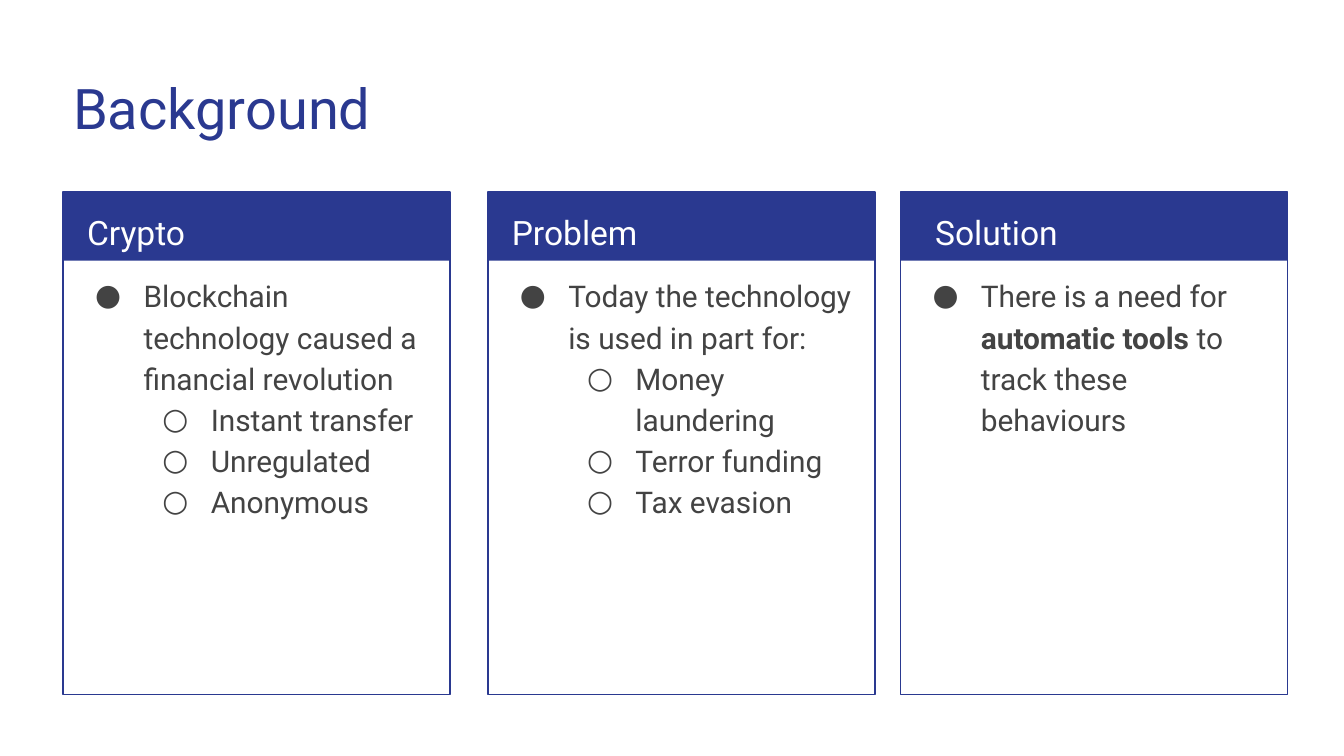
from lxml import etree
from pptx import Presentation
from pptx.dml.color import RGBColor
from pptx.enum import shapes, text
from pptx.oxml import ns
from pptx.util import Inches, Pt

NAVY, GREY, WHITE = "2A3990", "434343", "FFFFFF"
CARD_TOP, CARD_WIDTH, CARD_HEIGHT = 1.43, 2.88, 3.74
HEADER_HEIGHT = 0.51

# Card left, heading left, heading, bullets as (level, [(words, bold), ...])
CARDS = [
    (0.47, 0.55, "Crypto", [
        (0, [("Blockchain technology caused a financial revolution", False)]),
        (1, [("Instant transfer", False)]),
        (1, [("Unregulated", False)]),
        (1, [("Anonymous", False)]),
    ]),
    (3.63, 3.71, "Problem", [
        (0, [("Today the technology is used in part for:", False)]),
        (1, [("Money laundering", False)]),
        (1, [("Terror funding", False)]),
        (1, [("Tax evasion", False)]),
    ]),
    (6.7, 6.86, "Solution", [
        (0, [("There is a need for ", False), ("automatic tools", True),
             (" to track these behaviours", False)]),
    ]),
]


def style(para, size, color):
    para.alignment = text.PP_ALIGN.LEFT
    para.font.name = "Roboto"
    para.font.size = Pt(size)
    para.font.color.rgb = RGBColor.from_string(color)


def prepare_frame(box):
    """Give the box's text frame even margins, wrapping and a top anchor."""
    frame = box.text_frame
    frame.margin_left = frame.margin_right = Inches(0.1)
    frame.margin_top = frame.margin_bottom = Inches(0.1)
    frame.word_wrap = True
    frame.auto_size = text.MSO_AUTO_SIZE.NONE
    frame.vertical_anchor = text.MSO_ANCHOR.TOP
    return frame


deck = Presentation()
deck.slide_width = Inches(10)
deck.slide_height = Inches(10 * 9 / 16)
page = deck.slides.add_slide(deck.slide_layouts[5])

title = page.shapes.title
title.left, title.top = Inches(0.34), Inches(0.45)
title.width, title.height = Inches(9.32), Inches(0.66)
frame = prepare_frame(title)
frame.text = " Background"
style(frame.paragraphs[0], 30, NAVY)

for left, heading_left, heading, bullets in CARDS:
    header = page.shapes.add_shape(
        shapes.MSO_SHAPE.RECTANGLE, Inches(left), Inches(CARD_TOP),
        Inches(CARD_WIDTH), Inches(HEADER_HEIGHT))
    header.shadow.inherit = False
    header.fill.solid()
    header.fill.fore_color.rgb = RGBColor.from_string(NAVY)
    header.line.fill.background()

    border = page.shapes.add_shape(
        shapes.MSO_SHAPE.RECTANGLE, Inches(left), Inches(CARD_TOP),
        Inches(CARD_WIDTH), Inches(CARD_HEIGHT))
    border.shadow.inherit = False
    border.fill.background()
    border.line.color.rgb = RGBColor.from_string(NAVY)
    border.line.width = Pt(0.75)

    label = page.shapes.add_textbox(
        Inches(heading_left), Inches(CARD_TOP), Inches(2.73), Inches(0.5))
    frame = prepare_frame(label)
    frame.text = heading
    frame.paragraphs[0].line_spacing = 1.15
    style(frame.paragraphs[0], 18, WHITE)

    body = page.shapes.add_textbox(
        Inches(left), Inches(1.93), Inches(CARD_WIDTH), Inches(3.23))
    frame = prepare_frame(body)
    for index, (level, spans) in enumerate(bullets):
        para = frame.add_paragraph() if index else frame.paragraphs[0]
        para.level = level
        para.line_spacing = 1.15
        style(para, 16, GREY)
        for words, bold in spans:
            span = para.add_run()
            span.text = words
            if bold:
                span.font.bold = True

        # Bullet parts must come before the default run properties
        props = para._p.get_or_add_pPr()
        props.set("marL", str(Inches(0.5 * (level + 1))))
        props.set("indent", str(Inches(-0.36)))
        color = etree.Element(ns.qn("a:buClr"))
        etree.SubElement(color, ns.qn("a:srgbClr"), val=GREY)
        font = etree.Element(ns.qn("a:buFont"), typeface="Roboto")
        mark = etree.Element(ns.qn("a:buChar"), char="●○"[level])
        defaults = props.find(ns.qn("a:defRPr"))
        for part in (color, font, mark):
            defaults.addprevious(part)

deck.save("out.pptx")
